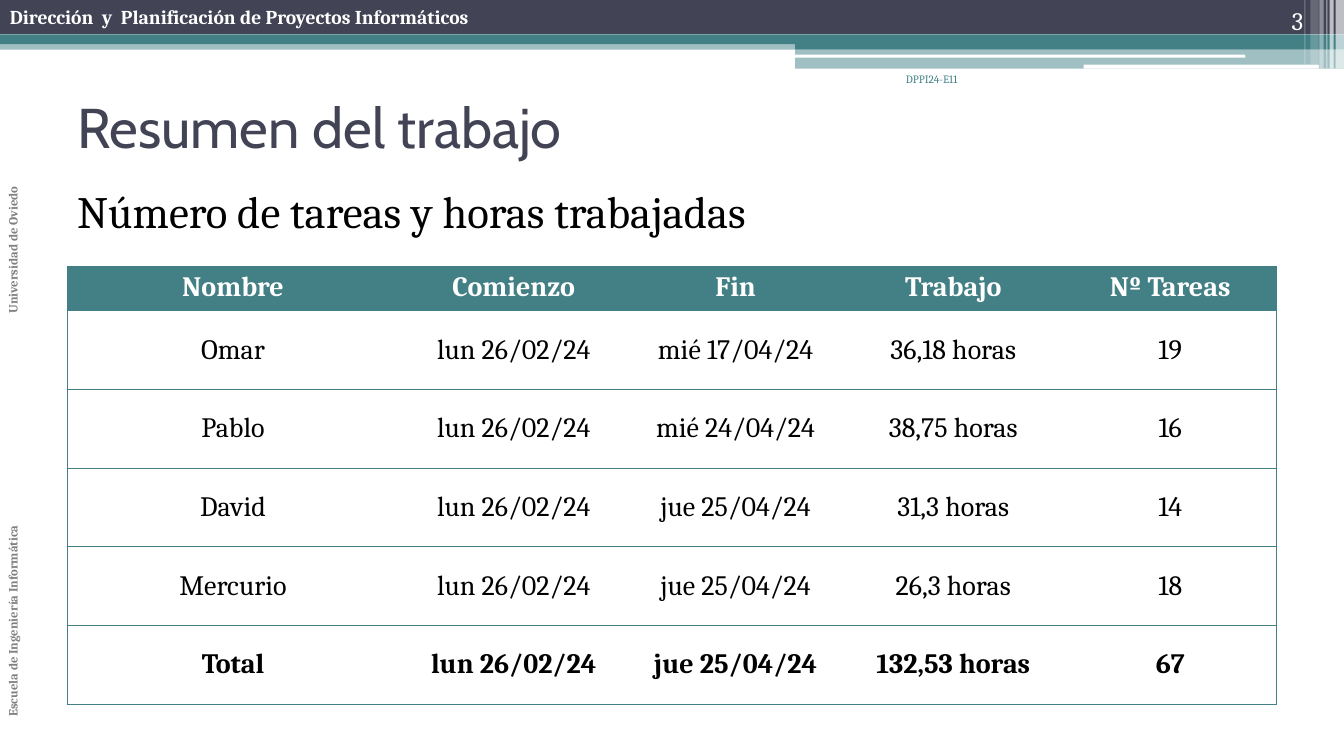
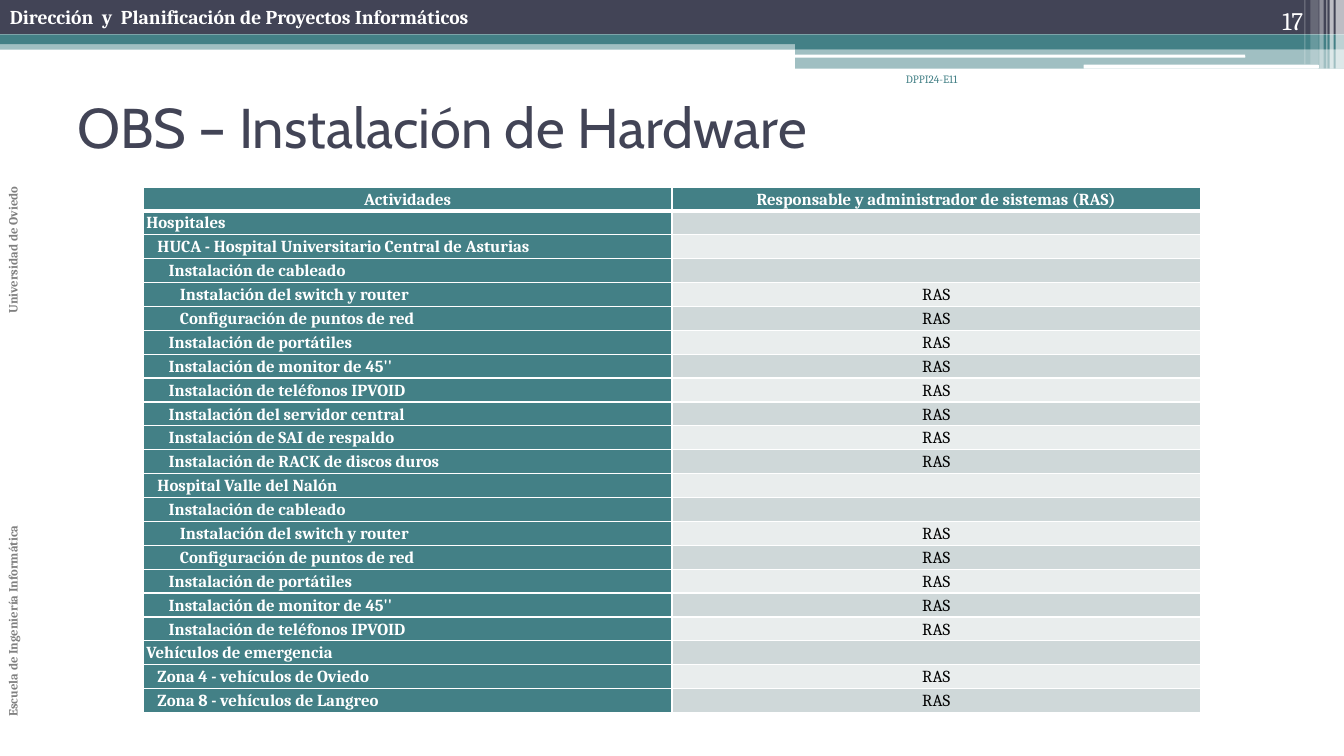
import pptx
import pptx.dml.color
import pptx.enum.shapes
import pptx.enum.text
import pptx.oxml.ns
import pptx.util
from lxml import etree

Pt = pptx.util.Pt
qn = pptx.oxml.ns.qn
ALIGN = pptx.enum.text.PP_ALIGN
ANCHOR = pptx.enum.text.MSO_ANCHOR
SHAPE = pptx.enum.shapes.MSO_SHAPE

COLORS = {"navy": "424456", "teal": "438086", "white": "FFFFFF", "black": "000000",
          "gray": "808080", "band_dark": "CFD8D9", "band_light": "E9EDED"}
BODY_FONT, TITLE_FONT = "Cambria", "Cabin"
SLIDE_W, SLIDE_H = 960, 540

# Content shared by the slides
COURSE = "Dirección  y  Planificación de Proyectos Informáticos"
SCHOOL, UNIVERSITY = "Escuela de Ingeniería Informática", "Universidad de Oviedo"
GROUP = "DPPI24-E11"

# Header decoration: shape, left, top, width, height, color, opacity in percent
HEADER_BANDS = [
    (SHAPE.RECTANGLE, 0, 29, SLIDE_W, 6.5, "teal", 50),
    (SHAPE.RECTANGLE, 0, 0, SLIDE_W, 24.5, "navy", 100),
    (SHAPE.RECTANGLE, 0, 24.5, SLIDE_W, 7, "teal", 100),
    (SHAPE.RECTANGLE, 568, 28, 392, 7.2, "teal", 100),
    (SHAPE.RECTANGLE, 568, 35, 392, 14, "teal", 50),
    (SHAPE.ROUNDED_RECTANGLE, 567.5, 39, 322, 2.2, "white", 100),
    (SHAPE.ROUNDED_RECTANGLE, 774, 46.2, 168, 2.8, "white", 100),
]
# Light stripes at the right edge: left, width, height, opacity in percent
STRIPES = [(954, 6, 49, 65), (949.7, 3, 49, 65), (947.5, 0.7, 49, 60),
           (942.5, 3, 49, 40), (936, 6, 46, 20), (931.7, 0.7, 46, 30)]

# Work summary
SUMMARY_TITLE = "Resumen del trabajo"
SUMMARY_SUBTITLE = "Número de tareas y horas trabajadas"
SUMMARY_WIDTHS = [237, 164, 153, 158, 152]
SUMMARY_ROWS = [
    ("Nombre", "Comienzo", "Fin", "Trabajo", "Nº Tareas"),
    ("Omar", "lun 26/02/24", "mié 17/04/24", "36,18 horas", "19"),
    ("Pablo", "lun 26/02/24", "mié 24/04/24", "38,75 horas", "16"),
    ("David", "lun 26/02/24", "jue 25/04/24", "31,3 horas", "14"),
    ("Mercurio", "lun 26/02/24", "jue 25/04/24", "26,3 horas", "18"),
    ("Total", "lun 26/02/24", "jue 25/04/24", "132,53 horas", "67"),
]

# Hardware installation: outline level, activity, person in charge
HARDWARE_TITLE = "OBS – Instalación de Hardware"
HARDWARE_HEADER = ("Actividades", "Responsable y administrador de sistemas (RAS)")
COMMON_TASKS = [
    (2, "Instalación de cableado", ""),
    (3, "Instalación del switch y router", "RAS"),
    (3, "Configuración de puntos de red", "RAS"),
    (2, "Instalación de portátiles", "RAS"),
    (2, "Instalación de monitor de 45''", "RAS"),
    (2, "Instalación de teléfonos IPVOID", "RAS"),
]
ACTIVITIES = [
    (0, "Hospitales", ""),
    (1, "HUCA - Hospital Universitario Central de Asturias", ""),
    *COMMON_TASKS,
    (2, "Instalación del servidor central", "RAS"),
    (2, "Instalación de SAI de respaldo", "RAS"),
    (2, "Instalación de RACK de discos duros", "RAS"),
    (1, "Hospital Valle del Nalón", ""),
    *COMMON_TASKS,
    (0, "Vehículos de emergencia", ""),
    (1, "Zona 4 - vehículos de Oviedo", "RAS"),
    (1, "Zona 8 - vehículos de Langreo", "RAS"),
]
LEVEL_INDENT = 8


def rgb(name):
    return pptx.dml.color.RGBColor.from_string(COLORS[name])


def write(frame, text, size, color, bold=False, font=BODY_FONT, align=ALIGN.LEFT):
    frame.text = text
    paragraph = frame.paragraphs[0]
    paragraph.alignment = align
    for run in paragraph.runs:
        run.font.size, run.font.name, run.font.bold = Pt(size), font, bold
        run.font.color.rgb = rgb(color)
    if not text:  # keeps an empty row as low as the others
        etree.SubElement(paragraph._p, qn("a:endParaRPr"), sz=str(size * 100))
    return paragraph


def add_text(slide, box, text, size, color, anchor=ANCHOR.TOP, **style):
    frame = slide.shapes.add_textbox(*map(Pt, box)).text_frame
    frame.word_wrap = True
    frame.vertical_anchor = anchor
    write(frame, text, size, color, **style)
    return frame


def add_band(slide, kind, left, top, width, height, color, opacity):
    band = slide.shapes.add_shape(kind, Pt(left), Pt(top), Pt(width), Pt(height))
    band.shadow.inherit = False
    band.line.fill.background()
    band.fill.solid()
    band.fill.fore_color.rgb = rgb(color)
    if opacity < 100:
        fill_color = band._element.spPr.find(f".//{qn('a:srgbClr')}")
        etree.SubElement(fill_color, qn("a:alpha"), val=str(opacity * 1000))


def set_borders(cell, **sides):
    """Each side L, R, T, B is (color, width) or None for no line."""
    properties = cell._tc.get_or_add_tcPr()
    for side in "LRTB":
        border = sides[side]
        line = etree.SubElement(properties, qn(f"a:ln{side}"))
        if border is None:
            etree.SubElement(line, qn("a:noFill"))
            continue
        color, width = border
        line.set("w", str(int(Pt(width))))
        solid = etree.SubElement(line, qn("a:solidFill"))
        etree.SubElement(solid, qn("a:srgbClr"), val=COLORS[color])


def fill_cell(cell, color):
    if color is None:
        cell.fill.background()
    else:
        cell.fill.solid()
        cell.fill.fore_color.rgb = rgb(color)


def add_table(slide, left, top, widths, heights):
    table = slide.shapes.add_table(len(heights), len(widths), Pt(left), Pt(top),
                                   Pt(sum(widths)), Pt(sum(heights))).table
    table.first_row = table.horz_banding = False
    for column, width in zip(table.columns, widths):
        column.width = Pt(width)
    for row, height in zip(table.rows, heights):
        row.height = Pt(height)
    return table


def add_slide(deck, title, number):
    slide = deck.slides.add_slide(deck.slide_layouts[6])
    for band in HEADER_BANDS:
        add_band(slide, *band)
    for left, width, height, opacity in STRIPES:
        add_band(slide, SHAPE.RECTANGLE, left, 0, width, height, "white", opacity)
    add_text(slide, (0, 0, 593, 24.5), COURSE, 14, "white", bold=True)

    # Side label, read from bottom to top
    side_label = add_text(slide, (0, 39, 25, 480), f"{SCHOOL}\t{UNIVERSITY}", 9,
                          "gray", bold=True)
    side_label._txBody.bodyPr.set("vert", "vert270")
    tabs = etree.SubElement(side_label.paragraphs[0]._p.get_or_add_pPr(), qn("a:tabLst"))
    etree.SubElement(tabs, qn("a:tab"), pos=str(int(Pt(288))), algn="l")

    add_text(slide, (552, 48, 139, 36), GROUP, 8, "teal", align=ALIGN.RIGHT)
    add_text(slide, (858, 0, 80, 29), str(number), 18, "white", ANCHOR.BOTTOM,
             align=ALIGN.RIGHT)
    add_text(slide, (48, 48, 864, 84), title, 40, "navy", ANCHOR.MIDDLE, font=TITLE_FONT)
    return slide


def build_summary(deck):
    slide = add_slide(deck, SUMMARY_TITLE, 3)
    add_text(slide, (48, 128, 681, 46), SUMMARY_SUBTITLE, 32, "black")
    last_row, last_column = len(SUMMARY_ROWS) - 1, len(SUMMARY_WIDTHS) - 1
    table = add_table(slide, 48, 190.5, SUMMARY_WIDTHS, [31.5] + [56.2] * last_row)
    rule = ("teal", 0.75)
    for r, values in enumerate(SUMMARY_ROWS):
        header = r == 0
        for c, value in enumerate(values):
            cell = table.cell(r, c)
            set_borders(cell, L=rule if c == 0 else None,
                        R=rule if c == last_column else None, T=rule, B=rule)
            fill_cell(cell, "teal" if header else None)
            cell.vertical_anchor = ANCHOR.TOP if header else ANCHOR.MIDDLE
            write(cell.text_frame, value, 20, "white" if header else "black",
                  bold=r in (0, last_row), align=ALIGN.CENTER)


def build_hardware(deck):
    slide = add_slide(deck, HARDWARE_TITLE, 17)
    rows = [(0, *HARDWARE_HEADER)] + ACTIVITIES
    table = add_table(slide, 102.5, 133.5, [377.5] * 2, [17.08] * len(rows))
    thin, thick = ("white", 1), ("white", 3)
    for r, (level, *values) in enumerate(rows):
        band = "band_dark" if r % 2 else "band_light"
        for c, value in enumerate(values):
            cell = table.cell(r, c)
            heading = r == 0 or c == 0
            set_borders(cell, L=thin, R=thin, T=thick if r == 1 else thin,
                        B=thick if r == 0 else thin)
            fill_cell(cell, "teal" if heading else band)
            cell.vertical_anchor = ANCHOR.MIDDLE
            cell.margin_left = cell.margin_right = Pt(2)
            cell.margin_top = cell.margin_bottom = 0
            paragraph = write(cell.text_frame, value, 12, "white" if heading else "black",
                              bold=heading,
                              align=ALIGN.CENTER if r == 0 or c == 1 else ALIGN.LEFT)
            paragraph.line_spacing = 1.07
            if c == 0 and level:
                paragraph._p.get_or_add_pPr().set("marL", str(int(Pt(level * LEVEL_INDENT))))


def main():
    deck = pptx.Presentation()
    deck.slide_width, deck.slide_height = Pt(SLIDE_W), Pt(SLIDE_H)
    build_summary(deck)
    build_hardware(deck)
    deck.save("out.pptx")


if __name__ == "__main__":
    main()
